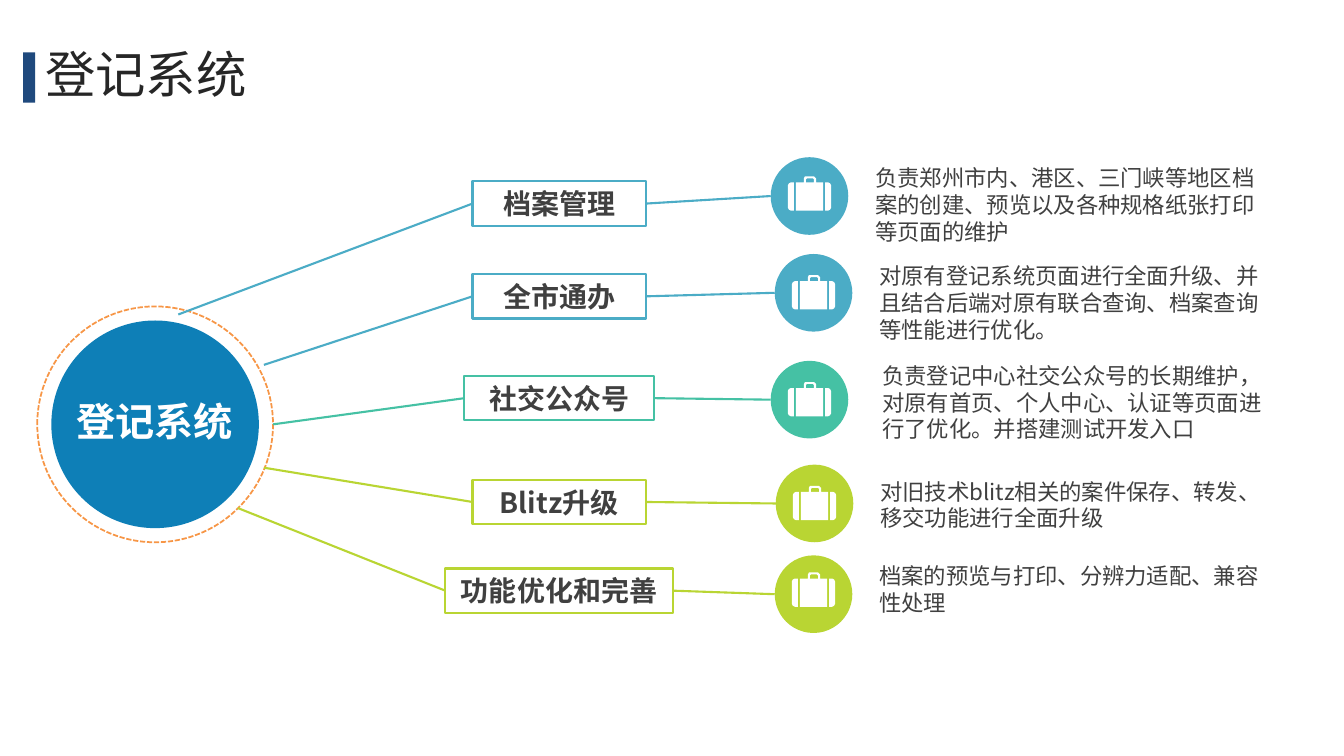
"""Build a hub slide linking a registration system to its five modules."""
from lxml import etree
from pptx import Presentation
from pptx.dml.color import RGBColor
from pptx.enum.dml import MSO_LINE
from pptx.enum.shapes import MSO_CONNECTOR, MSO_SHAPE
from pptx.enum.text import MSO_ANCHOR, PP_ALIGN
from pptx.oxml.ns import qn
from pptx.util import Pt

PX = 9144
RECT, OVAL = MSO_SHAPE.RECTANGLE, MSO_SHAPE.OVAL
LINE, DASH = MSO_CONNECTOR.STRAIGHT, MSO_LINE.SQUARE_DOT
LEFT, MID = PP_ALIGN.LEFT, PP_ALIGN.CENTER
TOP, HALF = MSO_ANCHOR.TOP, MSO_ANCHOR.MIDDLE
SANS, ARIAL = "Noto Sans CJK SC", "Arial"
BLUE, TEAL, LIME = "4BACC6", "45C1A4", "B9D533"
DARK, WHITE = "404040", "FFFFFF"

TITLE = "登记系统"
# label, colour, box (top, width), hub point, dot, case top, note (left, top, height), note text
ROWS = [
    ("档案管理", BLUE, (180, 172), (177, 312), (765, 156), 175, (859, 158, 91),
     "负责郑州市内、港区、三门峡等地区档案的创建、预览以及各种规格纸张打印等页面的维护"),
    ("全市通办", BLUE, (272, 172), (262, 362), (769, 252), 273, (863, 255, 91),
     "对原有登记系统页面进行全面升级、并且结合后端对原有联合查询、档案查询等性能进行优化。"),
    ("社交公众号", TEAL, (373, 188), (271, 421), (765, 358), 379, (866, 354, 91),
     "负责登记中心社交公众号的长期维护，对原有首页、个人中心、认证等页面进行了优化。并搭建测试开发入口"),
    ("Blitz升级", LIME, (476, 172), (262, 464), (770, 461), 482, (864, 469, 64),
     "对旧技术blitz相关的案件保存、转发、移交功能进行全面升级"),
    ("功能优化和完善", LIME, (564, 226), (236, 504), (769, 551), 568, (863, 553, 64),
     "档案的预览与打印、分辨力适配、兼容性处理"),
]
AXIS, BOX_H, DOT, NOTE_W = 555, 44, 77, 397
CASE_W, CASE_DX = 43, 17
SIDE = [(37, 6), (40, 6), (42, 7), (43, 9), (43, 31), (42, 33), (40, 34), (37, 34)]
BODY = [(8, 6), (16, 6), (16, 2), (17, 0), (26, 0), (28, 2), (28, 6),
        (35, 6), (35, 34), (8, 34)]
GRIP = [(18, 6), (18, 3), (19, 2), (25, 2), (26, 3), (26, 6)]
CASE = [SIDE, [(CASE_W - x, y) for x, y in SIDE], BODY, GRIP]

deck = Presentation()
deck.slide_width, deck.slide_height = 1334 * PX, 750 * PX
shapes = deck.slides.add_slide(deck.slide_layouts[6]).shapes


def emu(*nums):
    return [round(n * PX) for n in nums]


def tint(code):
    return RGBColor.from_string(code)


def paint(shape, fill=None, edge=None, width=1.5):
    shape.shadow.inherit = False
    if fill:
        shape.fill.solid()
        shape.fill.fore_color.rgb = tint(fill)
    else:
        shape.fill.background()
    if edge:
        shape.line.color.rgb = tint(edge)
        shape.line.width = Pt(width)
    else:
        shape.line.fill.background()
    return shape


def form(kind, x, y, w, h, **look):
    return paint(shapes.add_shape(kind, *emu(x, y, w, h)), **look)


def write(shape, text, size, color=DARK, bold=False, align=LEFT, anchor=TOP, font=SANS):
    frame = shape.text_frame
    frame.word_wrap = True
    frame.vertical_anchor = anchor
    para = frame.paragraphs[0]
    para.alignment = align
    run = para.add_run()
    run.text = text
    run.font.size, run.font.bold, run.font.name = Pt(size), bold, font
    run.font.color.rgb = tint(color)
    etree.SubElement(run.font._element, qn("a:ea"), typeface=SANS)
    return para


def label(x, y, w, h, text, size, **look):
    return write(shapes.add_textbox(*emu(x, y, w, h)), text, size, **look)


def link(box, site, end, color):
    wire = shapes.add_connector(LINE, 0, 0, *emu(*end))
    wire.begin_connect(box, site)
    wire.line.color.rgb = tint(color)
    wire.line.width = Pt(1.5)
    etree.SubElement(wire._element.spPr, qn("a:effectLst"))


def case(x, y):
    pen = shapes.build_freeform(*CASE[0][0], scale=PX)
    for i, loop in enumerate(CASE):
        if i:
            pen.move_to(*loop[0])
        pen.add_line_segments(loop[1:], close=True)
    paint(pen.convert_to_shape(*emu(x, y)), fill=WHITE)


form(RECT, 23, 52, 12, 50, fill="1F497D")
label(35, 37, 1266, 79, TITLE, 36, color="262626", anchor=HALF).line_spacing = 0.9

form(OVAL, 51, 318, 206, 206, fill="0E7FB7")
ring = form(OVAL, 37, 304, 234, 234, edge="F79646", width=1.25)
ring.line.dash_style = DASH
label(45, 389, 217, 57, TITLE, 28, color=WHITE, bold=True, align=MID, font=ARIAL)

for name, color, (top, width), hub, (dx, dy), lift, (nx, ny, nh), note in ROWS:
    box = form(RECT, AXIS - width / 2, top, width, BOX_H, edge=color)
    write(box, name, 20, bold=True, align=MID, anchor=HALF)
    link(box, 1, hub, color)
    link(box, 3, (dx, dy + DOT / 2), color)
    form(OVAL, dx, dy, DOT, DOT, fill=color)
    case(dx + CASE_DX, lift)
    label(nx, ny, NOTE_W, nh, note, 16)

deck.save("out.pptx")
